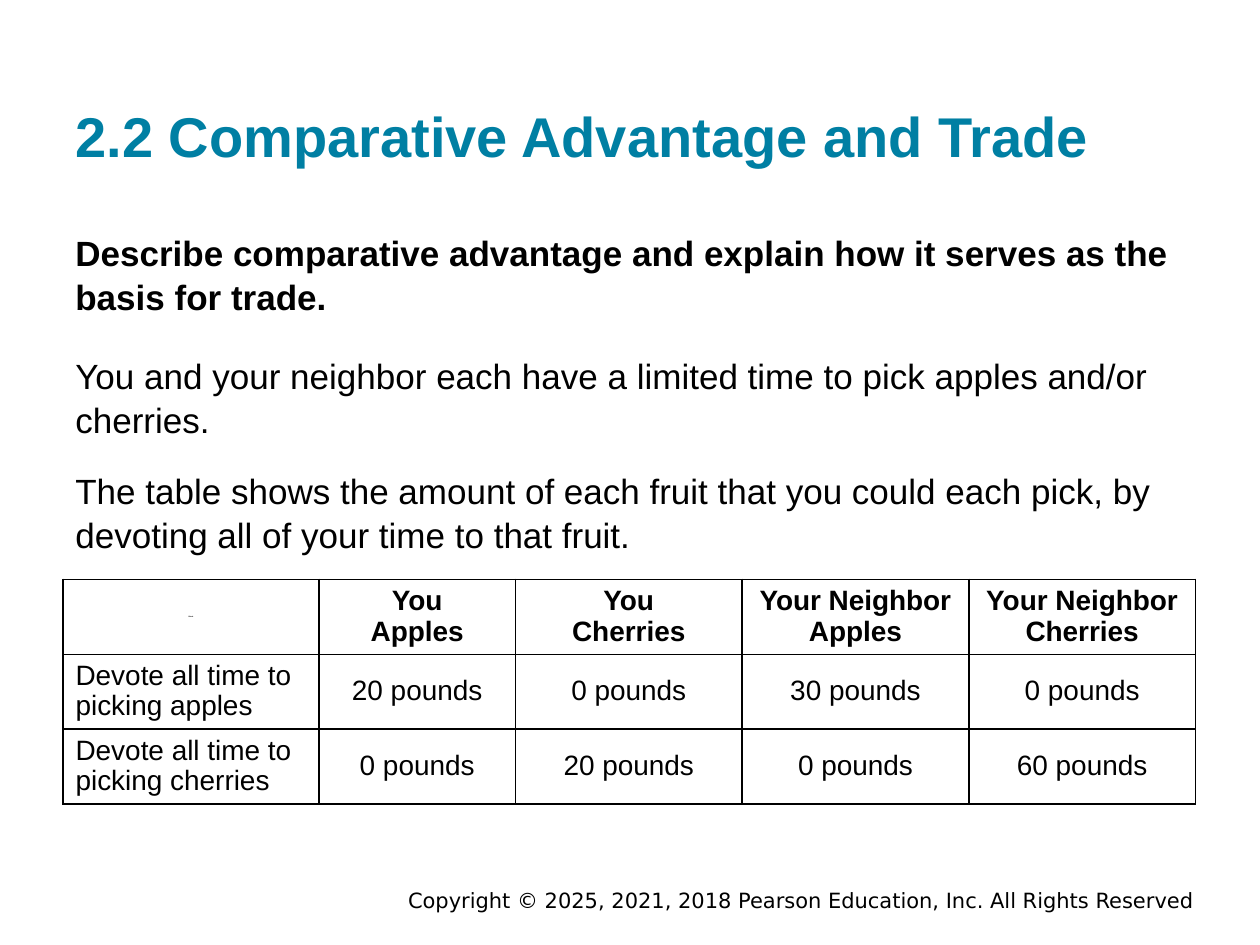
from lxml.etree import SubElement
from pptx import Presentation
from pptx.dml.color import RGBColor
from pptx.enum.text import MSO_ANCHOR, MSO_AUTO_SIZE, PP_ALIGN
from pptx.oxml.ns import qn
from pptx.util import Cm, Pt

INK, TEAL = "000000", "007FA3"
BASE = dict(name="Arial", size=Pt(20), bold=False)
HEAD = [
    "Blank",
    "You\nApples",
    "You\nCherries",
    "Your Neighbor\nApples",
    "Your Neighbor\nCherries",
]
ROWS = [
    HEAD,
    ["Devote all time to picking apples", "20 pounds", "0 pounds", "30 pounds", "0 pounds"],
    ["Devote all time to picking cherries", "0 pounds", "20 pounds", "0 pounds", "60 pounds"],
]
COLS = [5.16, 3.96, 4.57, 4.57, 4.57]
ROW = 1.51


def tint(color, code):
    color.rgb = RGBColor.from_string(code)


def style(para, color=INK, align=PP_ALIGN.LEFT, pitch=1.0, **font):
    para.alignment = align
    para.line_spacing = pitch
    for key, value in {**BASE, **font}.items():
        setattr(para.font, key, value)
    tint(para.font.color, color)


def fill_text(shape, box, lines, anchor=MSO_ANCHOR.TOP, pad=0.25, **look):
    """Place a shape in a box and give it styled paragraphs."""
    for key, value in zip(("left", "top", "width", "height"), box):
        setattr(shape, key, Cm(value))
    frame = shape.text_frame
    frame.text = "\n".join(lines)
    form = dict(
        word_wrap=True, auto_size=MSO_AUTO_SIZE.NONE, vertical_anchor=anchor,
        margin_left=Cm(0.25), margin_right=Cm(0.25),
        margin_top=Cm(pad), margin_bottom=Cm(pad),
    )
    for key, value in form.items():
        setattr(frame, key, value)
    for num, para in enumerate(frame.paragraphs):
        style(para, **look)
        para.space_before = Pt(15 if num else 0)


def add_text(slide, box, lines, **look):
    shape = slide.shapes.add_textbox(0, 0, 0, 0)
    fill_text(shape, box, lines, **look)


def add_title(slide, box):
    fill_text(slide.shapes.title, box, ["2.2 Comparative Advantage and Trade"],
              anchor=MSO_ANCHOR.BOTTOM, color=TEAL, size=Pt(32), bold=True)


def add_body(slide, box):
    left, top, width, _ = box
    add_text(slide, (left, top, width, 2.11),
             ["Describe comparative advantage and explain how it serves as the basis for trade."],
             bold=True, pitch=1.05)
    add_text(slide, (left, top + 2.49, width, 4.32), [
        "You and your neighbor each have a limited time to pick apples and/or cherries.",
        "The table shows the amount of each fruit that you could each pick, "
        "by devoting all of your time to that fruit.",
    ], pitch=1.05)


def add_edges(cell):
    props = cell._tc.get_or_add_tcPr()
    for num, side in enumerate(("lnL", "lnR", "lnT", "lnB")):
        line = props.makeelement(qn(f"a:{side}"), {"w": str(Pt(1))})
        paint = SubElement(line, qn("a:solidFill"))
        SubElement(paint, qn("a:srgbClr"), val=INK)
        props.insert(num, line)


def add_grid(slide, left, top):
    """Add the table of fruit each person can pick."""
    table = slide.shapes.add_table(
        len(ROWS), len(COLS), Cm(left), Cm(top),
        Cm(sum(COLS)), Cm(ROW * len(ROWS))).table
    table.first_row = table.horz_banding = False
    for col, width in zip(table.columns, COLS):
        col.width = Cm(width)
    for r, texts in enumerate(ROWS):
        table.rows[r].height = Cm(ROW)
        for c, text in enumerate(texts):
            cell = table.cell(r, c)
            cell.text = text
            cell.vertical_anchor = MSO_ANCHOR.MIDDLE
            cell.fill.background()
            add_edges(cell)
            label = r > 0 and c == 0
            for para in cell.text_frame.paragraphs:
                style(para, align=PP_ALIGN.LEFT if label else PP_ALIGN.CENTER,
                      size=Pt(16 if r or c else 1), bold=r == 0, pitch=0.97)


def add_footer(slide, box):
    add_text(slide, box,
             ["Copyright © 2025, 2021, 2018 Pearson Education, Inc. All Rights Reserved"],
             anchor=MSO_ANCHOR.MIDDLE, pad=0, align=PP_ALIGN.RIGHT,
             name="DejaVu Sans", size=Pt(12))


def main():
    deck = Presentation()
    deck.slide_width, deck.slide_height = Cm(25.4), Cm(19.05)
    slide = deck.slides.add_slide(deck.slide_layouts[5])
    add_footer(slide, (4.45, 17.86, 19.88, 0.56))
    add_title(slide, (1.27, 0.61, 22.86, 3.05))
    add_body(slide, (1.27, 4.37, 22.86, 6.81))
    add_grid(slide, 1.27, 11.68)
    deck.save("out.pptx")


if __name__ == "__main__":
    main()
